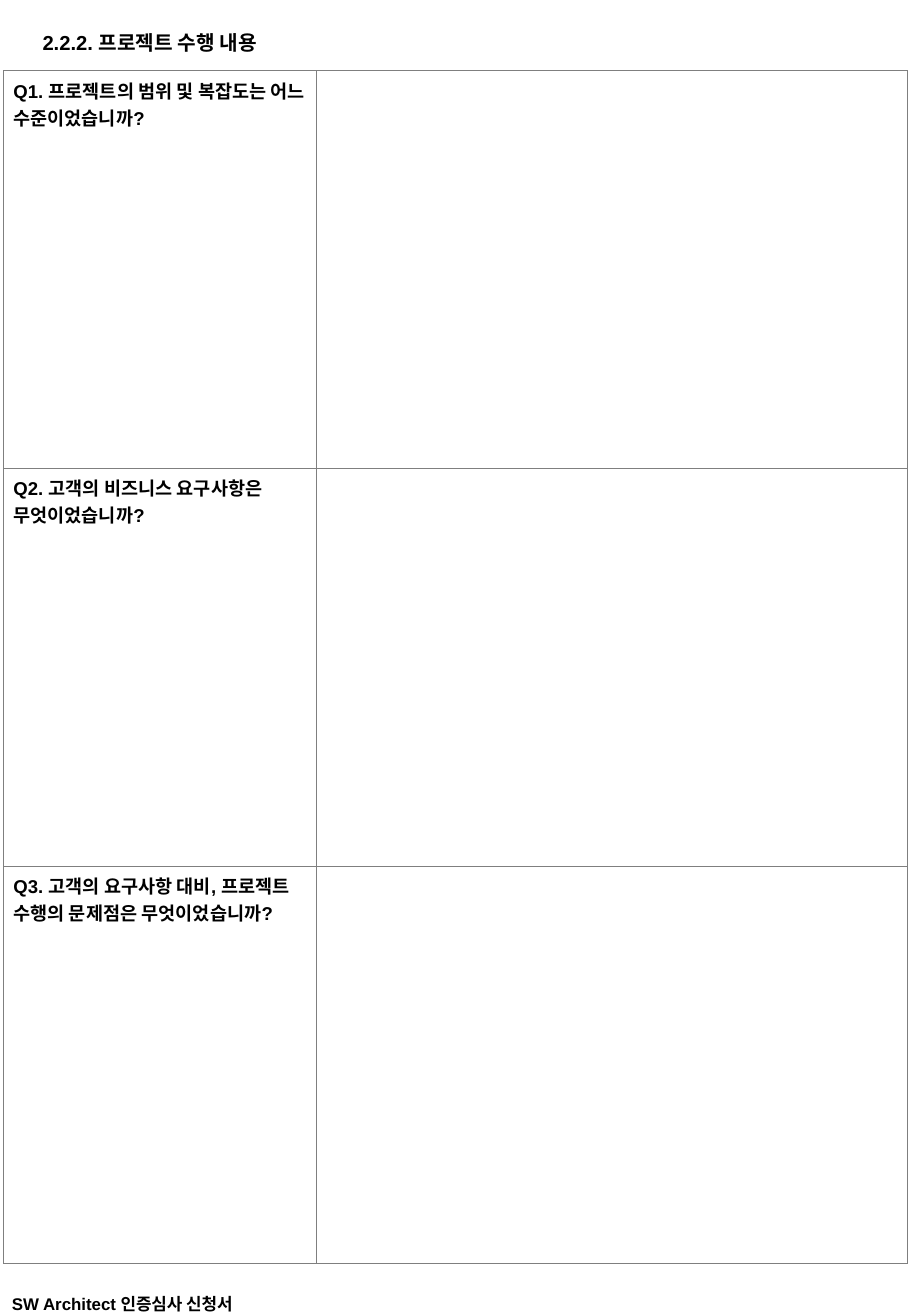
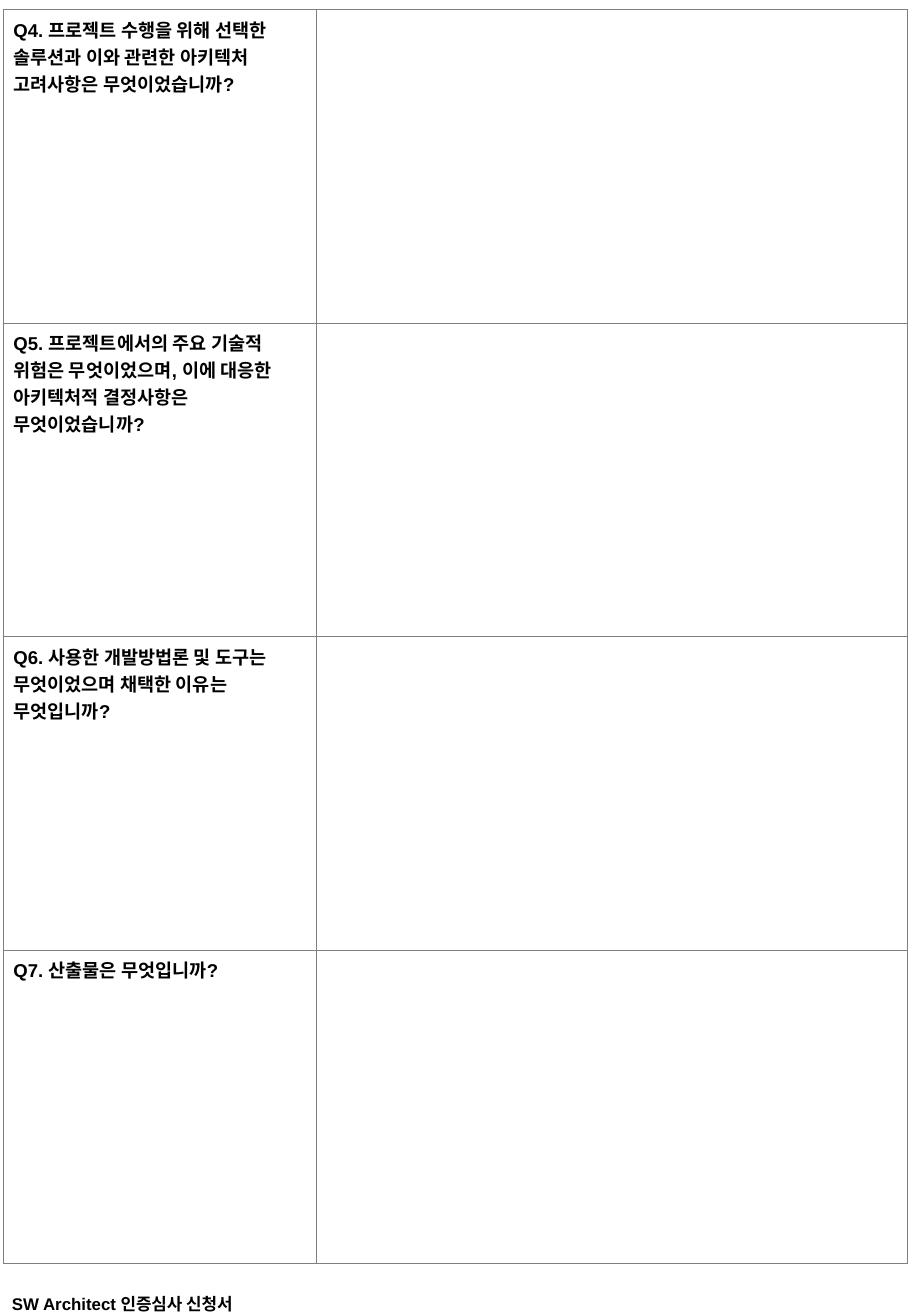
from lxml.etree import SubElement
from pptx import Presentation
from pptx.dml.color import RGBColor
from pptx.enum.text import MSO_ANCHOR, PP_ALIGN
from pptx.oxml.ns import qn
from pptx.util import Inches, Pt

FONT = "Arial"
BLACK = "000000"
GRID = "7F7F7F"
GRID_WIDTH = Pt(0.34)

TABLE_LEFT, TABLE_BOTTOM = 0.03, 10.41
QUESTION_WIDTH, ANSWER_WIDTH = 2.57, 4.87

TITLE = "2.2.2. 프로젝트 수행 내용"
FOOTER = "SW Architect 인증심사 신청서"
PROJECT_QUESTIONS = [
    "Q1. 프로젝트의 범위 및 복잡도는 어느 수준이었습니까?",
    "Q2. 고객의 비즈니스 요구사항은 무엇이었습니까?",
    "Q3. 고객의 요구사항 대비, 프로젝트 수행의 문제점은 무엇이었습니까?",
]
ARCHITECTURE_QUESTIONS = [
    "Q4. 프로젝트 수행을 위해 선택한 솔루션과 이와 관련한 아키텍처 고려사항은 무엇이었습니까?",
    "Q5. 프로젝트에서의 주요 기술적 위험은 무엇이었으며, 이에 대응한 아키텍처적 결정사항은 무엇이었습니까?",
    "Q6. 사용한 개발방법론 및 도구는 무엇이었으며 채택한 이유는 무엇입니까?",
    "Q7. 산출물은 무엇입니까?",
]


def rgb(color):
    return RGBColor.from_string(color)


def write(tf, text, size, color=BLACK, bold=True, space_before=0):
    tf.word_wrap = True
    p = tf.paragraphs[0]
    p.alignment = PP_ALIGN.LEFT
    p.space_before = Pt(space_before)
    r = p.add_run()
    r.text = text
    r.font.name = FONT
    r.font.size = Pt(size)
    r.font.bold = bold
    r.font.color.rgb = rgb(color)


def add_borders(cell):
    tc_pr = cell._tc.get_or_add_tcPr()
    for position, side in enumerate(("a:lnL", "a:lnR", "a:lnT", "a:lnB")):
        ln = SubElement(tc_pr, qn(side), w=str(GRID_WIDTH))
        fill = SubElement(ln, qn("a:solidFill"))
        SubElement(fill, qn("a:srgbClr"), val=GRID)
        tc_pr.insert(position, ln)  # borders come before the cell fill


def add_title(s, left, top, width, height):
    title = s.shapes.title
    title.left, title.top = Inches(left), Inches(top)
    title.width, title.height = Inches(width), Inches(height)
    title.text_frame.vertical_anchor = MSO_ANCHOR.MIDDLE
    write(title.text_frame, TITLE, size=12)


def add_footer(s, left, top, width, height):
    sp = s.shapes.add_textbox(Inches(left), Inches(top), Inches(width), Inches(height))
    write(sp.text_frame, FOOTER, size=10)


def add_question_table(s, questions, left, top, bottom):
    """Place equal rows with a question on the left and room for its answer."""
    height = bottom - top
    table = s.shapes.add_table(
        len(questions), 2, Inches(left), Inches(top),
        Inches(QUESTION_WIDTH + ANSWER_WIDTH), Inches(height)).table
    table.first_row = table.horz_banding = False
    for column, width in zip(table.columns, (QUESTION_WIDTH, ANSWER_WIDTH)):
        column.width = Inches(width)
    for row, question in zip(table.rows, questions):
        row.height = Inches(height / len(questions))
        for cell in row.cells:
            cell.margin_left = cell.margin_right = Inches(0.08)
            cell.margin_top = cell.margin_bottom = Inches(0.05)
            cell.fill.background()
            add_borders(cell)
        write(row.cells[0].text_frame, question, size=11, space_before=2.8)


def add_form_page(prs, layout_name, questions, table_top):
    s = prs.slides.add_slide(prs.slide_layouts.get_by_name(layout_name))
    add_footer(s, 0, 10.61, 2.38, 0.22)
    add_question_table(s, questions, TABLE_LEFT, table_top, TABLE_BOTTOM)
    return s


def main():
    prs = Presentation()
    prs.slide_width, prs.slide_height = Inches(7.5), Inches(10.84)
    s = add_form_page(prs, "Title Only", PROJECT_QUESTIONS, table_top=0.58)
    add_title(s, 0.25, 0.2, 5.5, 0.3)
    add_form_page(prs, "Blank", ARCHITECTURE_QUESTIONS, table_top=0.08)
    prs.save("out.pptx")


if __name__ == "__main__":
    main()
